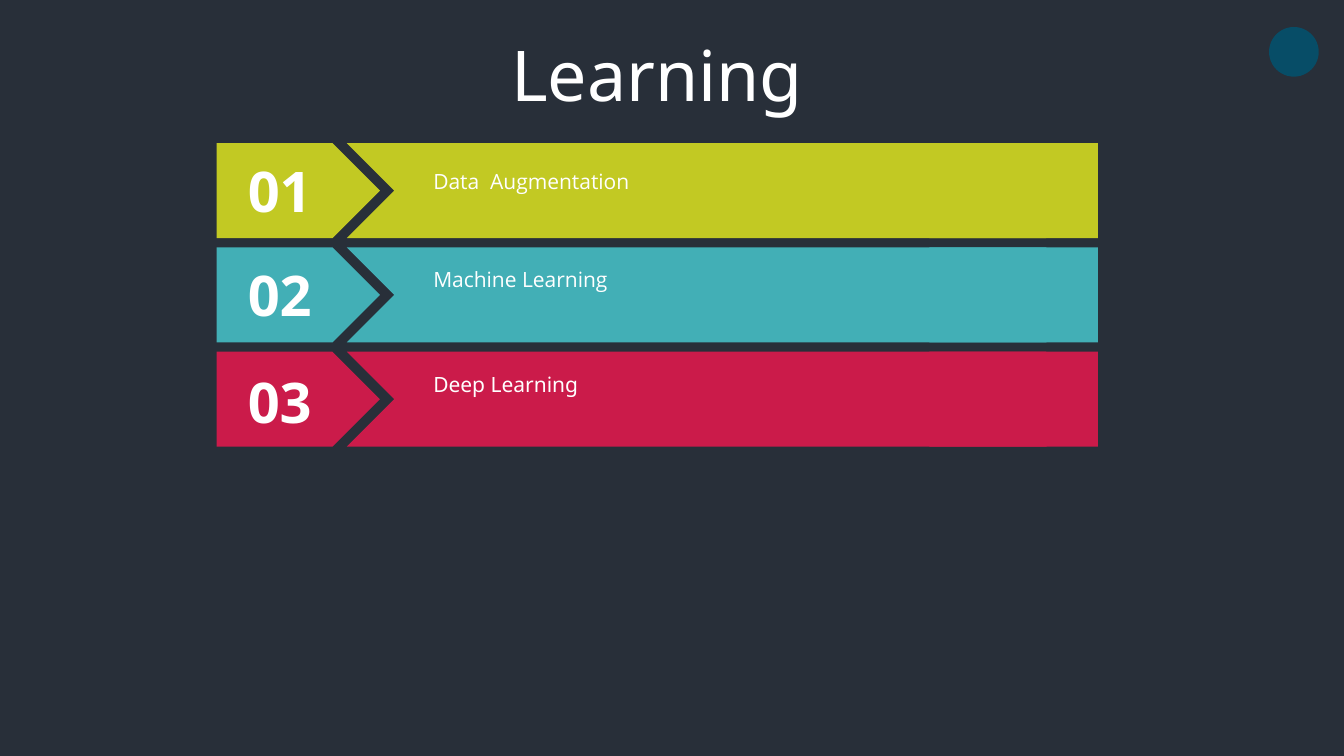
from dataclasses import dataclass

from pptx import Presentation
from pptx.dml.color import RGBColor
from pptx.enum.shapes import MSO_SHAPE
from pptx.enum.text import MSO_ANCHOR, MSO_AUTO_SIZE, PP_ALIGN
from pptx.shapes.autoshape import Shape
from pptx.slide import Slide
from pptx.util import Pt

DARK = RGBColor(0x28, 0x2F, 0x39)
WHITE = RGBColor(0xFF, 0xFF, 0xFF)
NAVY = RGBColor(0x07, 0x4D, 0x67)
LIME = RGBColor(0xC2, 0xC9, 0x23)
TEAL = RGBColor(0x42, 0xAF, 0xB6)
RED = RGBColor(0xCB, 0x1B, 0x4A)

NOTO = "Noto Sans"
OPEN = "Open Sans"

TOP = 102.2
PITCH = 74.5
BAND = 67.9

# Outline, left and width of each part of a row
PARTS = (
    (MSO_SHAPE.PENTAGON, 154.8, 116.6),
    (MSO_SHAPE.CHEVRON, 247.7, 533.5),
    (MSO_SHAPE.RECTANGLE, 663.8, 120.5),
)


@dataclass
class Row:
    label: str
    color: RGBColor
    face: str
    num_top: float
    label_top: float


ROWS = (
    Row("Data  Augmentation", LIME, OPEN, 108, 116.6),
    Row("Machine Learning", TEAL, OPEN, 182.2, 186.5),
    Row("Deep Learning", RED, NOTO, 258.5, 262.1),
)

TITLE = {"name": NOTO, "size": Pt(50), "bold": False}
NUMBER = {"name": OPEN, "size": Pt(40), "bold": True}
LABEL = {"size": Pt(15), "bold": False}


def add_solid(slide: Slide, kind: MSO_SHAPE, left: float, top: float,
              width: float, height: float, color: RGBColor) -> None:
    shape = slide.shapes.add_shape(kind, Pt(left), Pt(top), Pt(width), Pt(height))
    shape.shadow.inherit = False
    shape.fill.solid()
    shape.fill.fore_color.rgb = color
    shape.line.fill.background()


def set_text(shape: Shape, text: str, align: PP_ALIGN, style: dict) -> None:
    frame = shape.text_frame
    frame.word_wrap = True
    frame.auto_size = MSO_AUTO_SIZE.NONE
    frame.vertical_anchor = MSO_ANCHOR.MIDDLE
    para = frame.paragraphs[0]
    para.alignment = align
    run = para.add_run()
    run.text = text
    for key, value in style.items():
        setattr(run.font, key, value)
    run.font.color.rgb = WHITE


def add_row(slide: Slide, index: int, row: Row) -> None:
    for kind, left, width in PARTS:
        add_solid(slide, kind, left, TOP + index * PITCH, width, BAND, row.color)
    number = slide.shapes.add_textbox(Pt(159.8), Pt(row.num_top), Pt(80), Pt(55.4))
    set_text(number, f"{index + 1:02}", PP_ALIGN.CENTER, NUMBER)
    label = slide.shapes.add_textbox(Pt(302.4), Pt(row.label_top), Pt(365.8), Pt(25.2))
    set_text(label, row.label, PP_ALIGN.JUSTIFY, {"name": row.face, **LABEL})


def main() -> None:
    deck = Presentation()
    deck.slide_width, deck.slide_height = Pt(960), Pt(540)
    slide = deck.slides.add_slide(deck.slide_layouts[5])
    slide.background.fill.solid()
    slide.background.fill.fore_color.rgb = DARK

    title = slide.shapes.title
    place = {"left": 95, "top": 18.7, "width": 761.8, "height": 67.7}
    for key, value in place.items():
        setattr(title, key, Pt(value))
    set_text(title, "Learning ", PP_ALIGN.CENTER, TITLE)

    add_solid(slide, MSO_SHAPE.OVAL, 906.5, 19.3, 35.5, 35.5, NAVY)
    for index, row in enumerate(ROWS):
        add_row(slide, index, row)
    deck.save("out.pptx")


if __name__ == "__main__":
    main()
